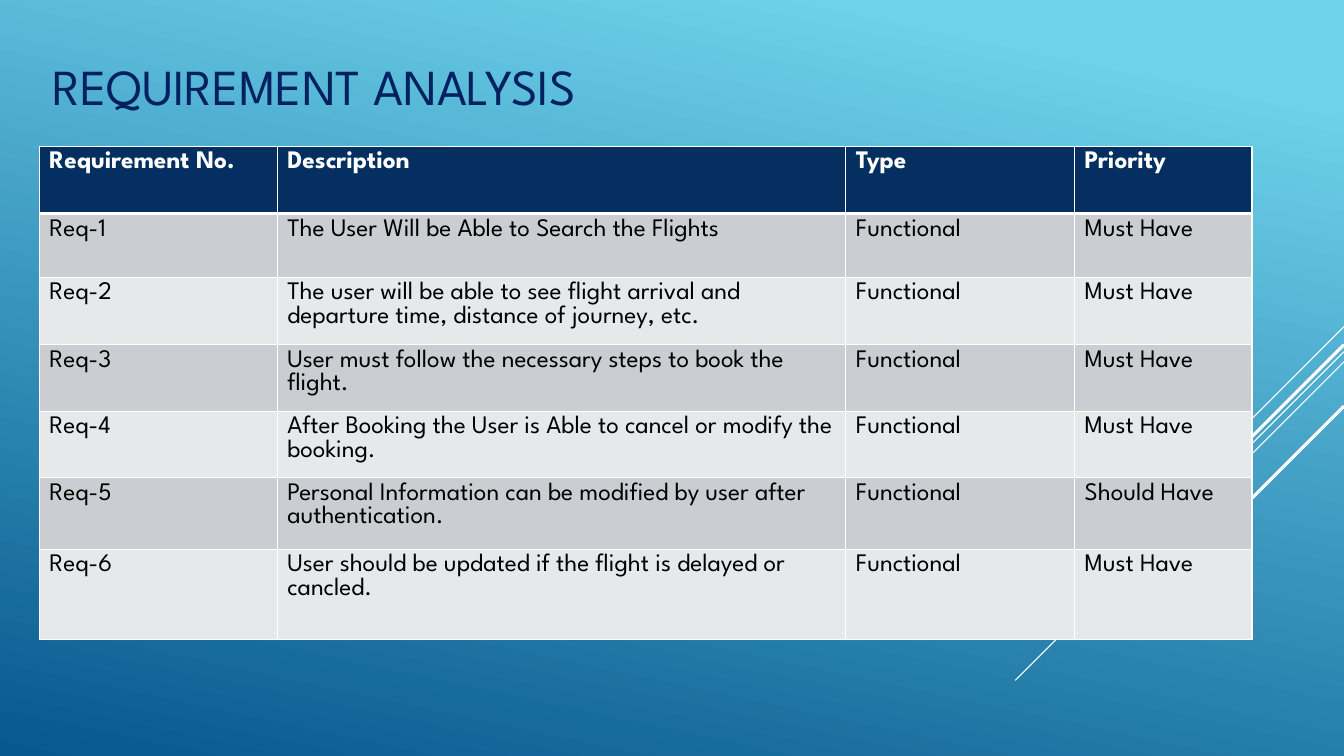
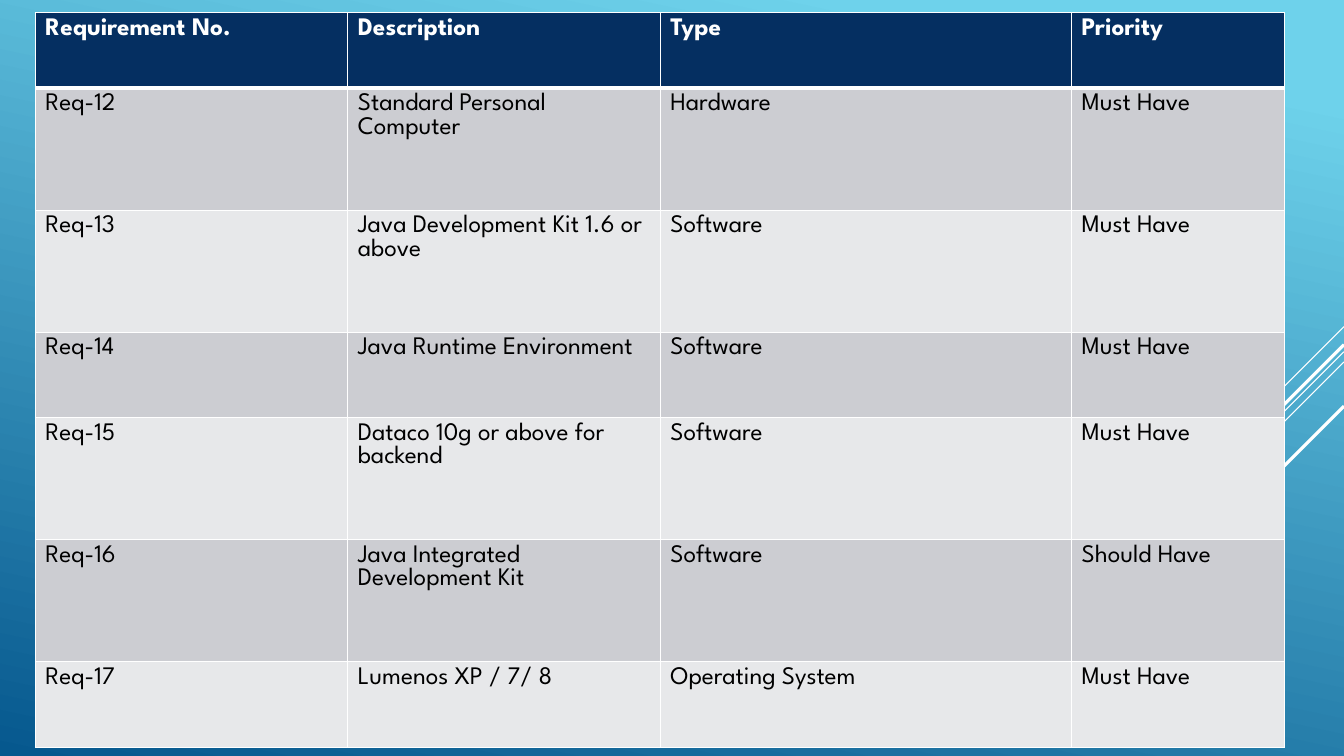
from lxml.etree import SubElement
from pptx import Presentation
from pptx.dml.color import RGBColor
from pptx.enum.shapes import MSO_CONNECTOR as CONN
from pptx.enum.text import MSO_ANCHOR as ANCHOR, MSO_AUTO_SIZE as AUTOSIZE, PP_ALIGN as ALIGN
from pptx.oxml import parse_xml
from pptx.oxml.ns import nsdecls, qn
from pptx.util import Inches, Pt

W, H = Inches(13.333), Inches(7.5)
FONT = "League Spartan"
WHITE, BLACK, TITLE, HEADER = "FFFFFF", "000000", "002060", "052F61"
BANDS = "CCCDD2", "E7E8EA"
SKY, DEEP = "6ED2EB", "06588E"
HEADINGS = ["Requirement No.", "Description", "Type", "Priority"]

# Diagonal rays: start on the right edge and reach, in % of height; width in points
RAYS = [(43.2, 13.33, 0.75), (46.53, 43.47, 0.75), (47.87, 27.6, 0.75),
        (45.6, 25.47, 2.25), (53.73, 18.53, 2.25)]

FUNCTIONAL = [
    ("The User Will be Able to Search the Flights", "Functional", "Must Have"),
    ("The user will be able to see flight arrival and departure time, "
     "distance of journey, etc.", "Functional", "Must Have"),
    ("User must follow the necessary steps to book the flight.", "Functional", "Must Have"),
    ("After Booking the User is Able to cancel or modify the booking.",
     "Functional", "Must Have"),
    ("Personal Information can be modified by user after authentication.",
     "Functional", "Should Have"),
    ("User should be updated if the flight is delayed or cancled.",
     "Functional", "Must Have"),
]
TECHNICAL = [
    ("Standard Personal Computer", "Hardware", "Must Have"),
    ("Java Development Kit 1.6 or above", "Software", "Must Have"),
    ("Java Runtime Environment", "Software", "Must Have"),
    ("Dataco 10g or above for backend", "Software", "Must Have"),
    ("Java Integrated Development Kit", "Software", "Should Have"),
    ("Lumenos XP / 7/ 8", "Operating System", "Must Have"),
]


def rgb(value):
    """Turn a hex string into a colour."""
    return RGBColor.from_string(value)


def place(box):
    """Turn a box in % of the slide into left, top, width, height."""
    return [int(share * side / 100) for share, side in zip(box, (W, H, W, H))]


def write(tf, text, size=18, color=BLACK, bold=False, align=ALIGN.LEFT):
    """Write one formatted paragraph into a text frame."""
    p = tf.paragraphs[0]
    p.alignment = align
    r = p.add_run()
    r.text = text
    r.font.name, r.font.size, r.font.bold = FONT, Pt(size), bold
    r.font.color.rgb = rgb(color)


def paint_background(master):
    """Give the master the sky gradient that every slide inherits."""
    fill = master.background.fill
    fill.gradient()
    fill.gradient_angle = 360 - 102
    for stop, position, color in zip(fill.gradient_stops, (0.1, 1), (SKY, DEEP)):
        stop.position = position
        stop.color.rgb = rgb(color)


def add_rays(s):
    """Draw the 45 degree rays from the right edge."""
    for start, reach, width in RAYS:
        y, run = int(start * H / 100), int(reach * H / 100)
        ray = s.shapes.add_connector(CONN.STRAIGHT, W, y, W - run, y + run)
        ray.line.color.rgb = rgb(WHITE)
        ray.line.width = Pt(width)
        SubElement(ray._element.spPr, qn("a:effectLst"))


def add_title(s, text, box):
    """Move and fill the title placeholder."""
    title = s.shapes.title
    title.left, title.top, title.width, title.height = place(box)
    tf = title.text_frame
    tf.auto_size, tf.word_wrap = AUTOSIZE.NONE, True
    tf.vertical_anchor = ANCHOR.MIDDLE
    write(tf, text, size=36, color=TITLE)


def add_borders(cell, top=1, bottom=1):
    """Put white borders around a cell, widths in points."""
    tcPr = cell._tc.get_or_add_tcPr()
    for i, (side, width) in enumerate(zip("LRTB", (1, 1, top, bottom))):
        tcPr.insert(i, parse_xml(
            f'<a:ln{side} {nsdecls("a")} w="{Pt(width)}"><a:solidFill>'
            f'<a:srgbClr val="{WHITE}"/></a:solidFill></a:ln{side}>'))


def add_requirements(s, box, first, items, cols, rows):
    """Fill a box with a table of requirements numbered from first."""
    left, top, width, height = place(box)
    table = s.shapes.add_table(len(rows), len(cols), left, top, width, height).table
    table.horz_banding = False
    for col, share in zip(table.columns, cols):
        col.width = int(width * share / sum(cols))
    for row, share in zip(table.rows, rows):
        row.height = int(height * share / sum(rows))
    body = [(f"Req-{n}", *item) for n, item in enumerate(items, first)]
    for i, texts in enumerate([HEADINGS, *body]):
        head = i == 0
        for j, text in enumerate(texts):
            cell = table.cell(i, j)
            cell.fill.solid()
            cell.fill.fore_color.rgb = rgb(HEADER if head else BANDS[(i - 1) % 2])
            add_borders(cell, top=3 if i == 1 else 1, bottom=3 if head else 1)
            write(cell.text_frame, text, color=WHITE if head else BLACK, bold=head)


def add_slide(prs, box, title=None, **table):
    """Add a slide with rays, an optional title and a requirements table."""
    s = prs.slides.add_slide(prs.slide_layouts[5 if title else 6])
    add_rays(s)
    if title:
        add_title(s, title, (3.15, 0.27, 72.75, 22))
    add_requirements(s, box, **table)


prs = Presentation()
prs.slide_width, prs.slide_height = W, H
paint_background(prs.slide_master)
add_slide(prs, (2.93, 19.33, 90.23, 65.33), title="REQUIREMENT ANALYSIS",
          first=1, items=FUNCTIONAL, cols=(2.36, 5.64, 2.27, 1.76),
          rows=(0.67, 0.63, 0.67, 0.66, 0.66, 0.71, 0.9))
add_slide(prs, (2.63, 1.67, 92.93, 97.2),
          first=12, items=TECHNICAL, cols=(3.1, 3.1, 4.08, 2.11),
          rows=(0.75, 1.21, 1.21, 0.85, 1.21, 1.21, 0.85))
prs.save("out.pptx")
